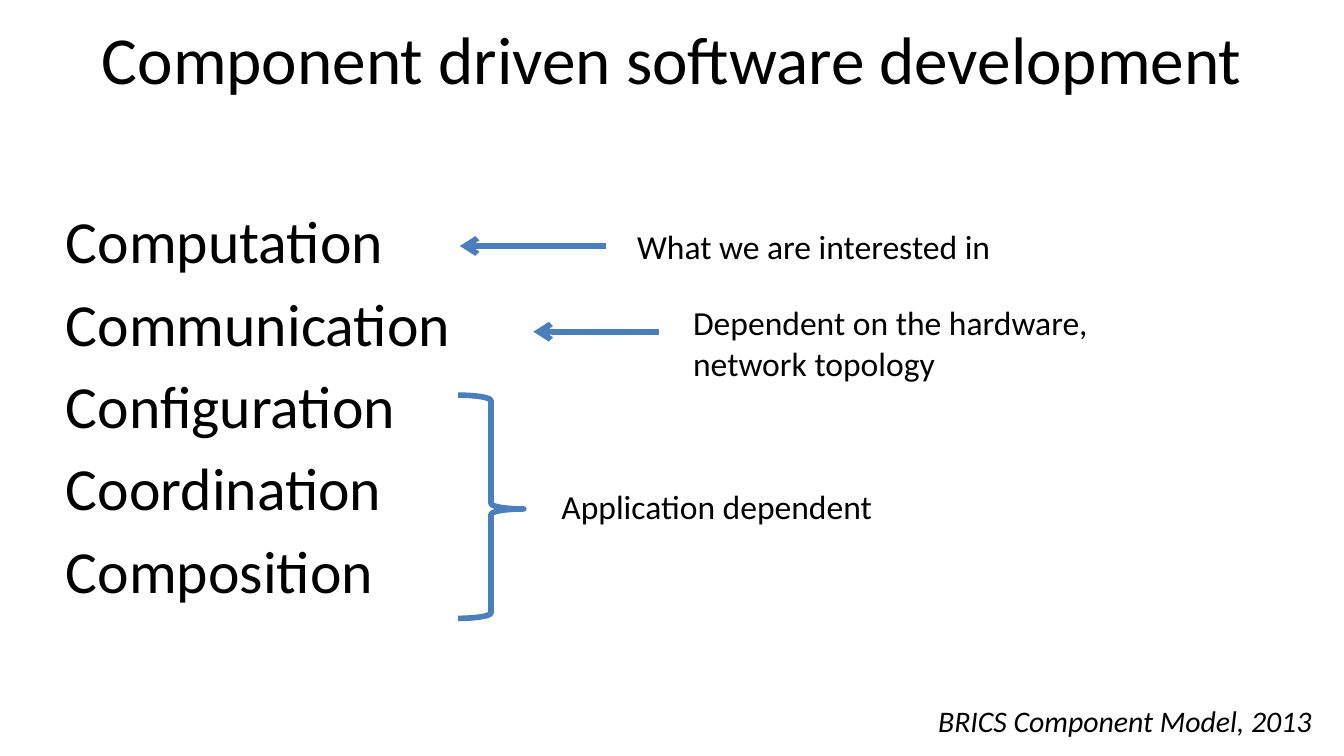
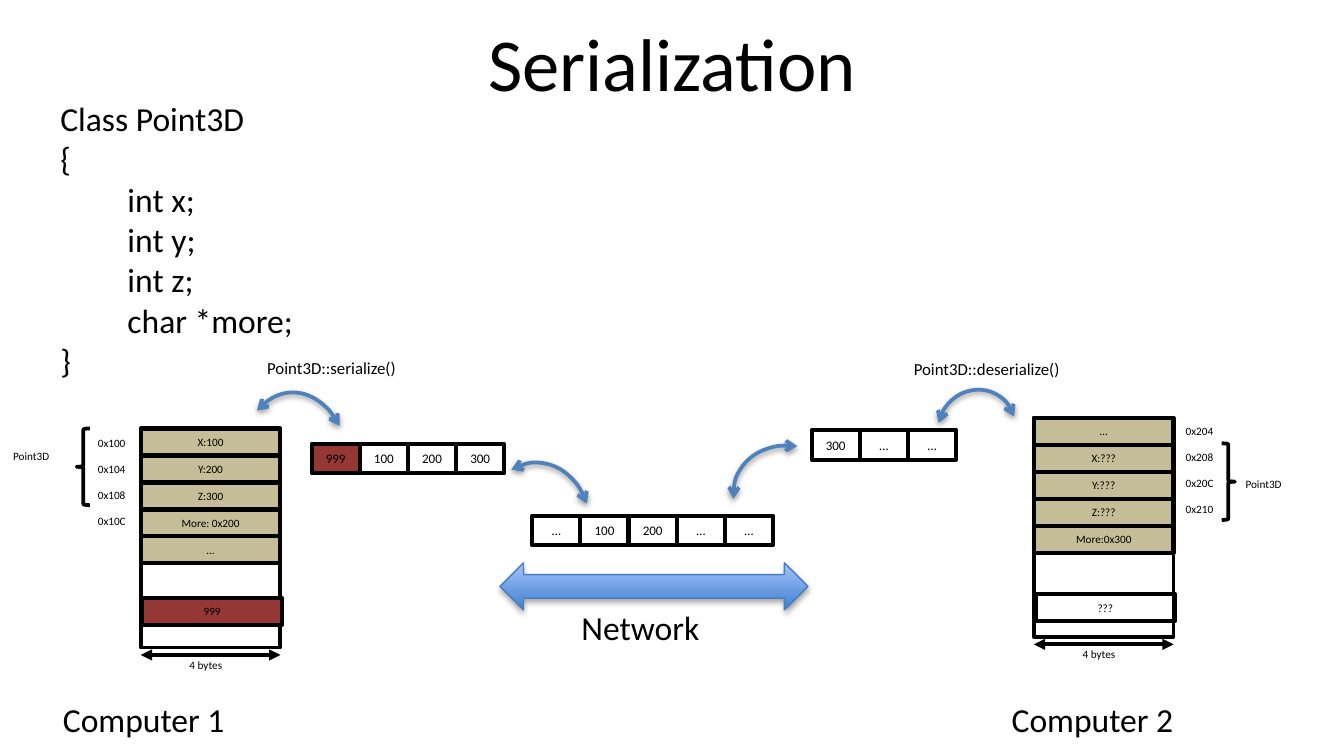
from pptx import Presentation
from pptx.dml.color import RGBColor
from pptx.enum.shapes import MSO_CONNECTOR, MSO_SHAPE
from pptx.enum.text import MSO_ANCHOR, MSO_AUTO_SIZE, PP_ALIGN
from pptx.oxml.xmlchemy import OxmlElement
from pptx.util import Cm, Pt

FONT = "Calibri"
BLACK = RGBColor(0x00, 0x00, 0x00)
WHITE = RGBColor(0xFF, 0xFF, 0xFF)
BLUE = RGBColor(0x4B, 0x7E, 0xBC)
ARC_BLUE = RGBColor(0x4F, 0x81, 0xBD)
EDGE_BLUE = RGBColor(0x3A, 0x5F, 0x8C)
GRADIENT = (RGBColor(0x3F, 0x80, 0xCE), RGBColor(0xA4, 0xC4, 0xFF))
TAN = RGBColor(0xC4, 0xBD, 0x97)
RED = RGBColor(0x95, 0x37, 0x35)

RECT = MSO_SHAPE.RECTANGLE
ARC = MSO_SHAPE.ARC
LEFT_BRACE = MSO_SHAPE.LEFT_BRACE
RIGHT_BRACE = MSO_SHAPE.RIGHT_BRACE
DOUBLE_ARROW = MSO_SHAPE.LEFT_RIGHT_ARROW
STRAIGHT = MSO_CONNECTOR.STRAIGHT
TOP, MIDDLE = MSO_ANCHOR.TOP, MSO_ANCHOR.MIDDLE
FIXED, GROW = MSO_AUTO_SIZE.NONE, MSO_AUTO_SIZE.SHAPE_TO_FIT_TEXT
CENTER = PP_ALIGN.CENTER

TITLE_AND_BODY, TITLE_ONLY = 1, 5
ROW, MEMORY_WIDTH = 0.51, 2.64
CELL_WIDTH, CELL_HEIGHT = 0.91, 0.56
ADDRESS_STEP = 0.49


def element(tag, parent, **attributes):
    el = OxmlElement(tag)
    for name, value in attributes.items():
        el.set(name, str(value))
    parent.append(el)
    return el


class Deck:
    """Shared style and the slide being filled; lengths are in centimetres."""

    def __init__(self):
        self.prs = Presentation()
        self.prs.slide_width, self.prs.slide_height = Cm(25.4), Cm(14.29)

    def new_slide(self, layout, title, size):
        self.s = self.prs.slides.add_slide(self.prs.slide_layouts[layout])
        sp = self.s.shapes.title
        self.place(sp, 0, 0.2, 25.4, 2.39)
        tf = sp.text_frame
        tf.auto_size, tf.vertical_anchor = FIXED, TOP
        p = tf.paragraphs[0]
        p.alignment = CENTER
        self.run(p, title, size)

    def place(self, sp, x, y, w, h):
        sp.left, sp.top, sp.width, sp.height = Cm(x), Cm(y), Cm(w), Cm(h)

    def run(self, p, text, size, italic=False):
        r = p.add_run()
        r.text = text
        font = r.font
        font.name, font.size, font.italic = FONT, Pt(size), italic
        font.color.rgb = BLACK

    def body(self, x, y, w, h, items, size):
        sp = self.s.placeholders[1]
        self.place(sp, x, y, w, h)
        tf = sp.text_frame
        tf.auto_size = FIXED
        for i, item in enumerate(items):
            p = tf.add_paragraph() if i else tf.paragraphs[0]
            pPr = p._p.get_or_add_pPr()
            pPr.set("marL", "0")
            pPr.set("indent", "0")
            element("a:buNone", pPr)
            p.space_before = Pt(5.7 if i else 0)
            self.run(p, item, size)

    def label(self, x, y, w, h, text, size, wrap=False, italic=False):
        sp = self.s.shapes.add_textbox(Cm(x), Cm(y), Cm(w), Cm(h))
        tf = sp.text_frame
        tf.word_wrap, tf.auto_size = wrap, GROW
        for i, line in enumerate(text.split("\n")):
            p = tf.add_paragraph() if i else tf.paragraphs[0]
            if line.startswith("\t"):
                tabs = element("a:tabLst", p._p.get_or_add_pPr())
                element("a:tab", tabs, pos=Cm(1.27), algn="l")
            self.run(p, line, size, italic)

    def shape(self, kind, x, y, w, h, line=BLACK, width=2, fill=None):
        sp = self.s.shapes.add_shape(kind, Cm(x), Cm(y), Cm(w), Cm(h))
        sp.shadow.inherit = False
        if fill is None:
            sp.fill.background()
        else:
            sp.fill.solid()
            sp.fill.fore_color.rgb = fill
        sp.line.color.rgb, sp.line.width = line, Pt(width)
        return sp

    def cell(self, x, y, w, h, text, size, fill=None):
        sp = self.shape(RECT, x, y, w, h, width=2.25, fill=fill)
        tf = sp.text_frame
        tf.word_wrap, tf.vertical_anchor = True, MIDDLE
        p = tf.paragraphs[0]
        p.alignment = CENTER
        self.run(p, text, size)

    def ends(self, sp, head=None, tail=None):
        ln = sp.line._get_or_add_ln()
        for tag, kind in (("a:headEnd", head), ("a:tailEnd", tail)):
            if kind:
                element(tag, ln, type=kind)

    def arrow(self, x1, x2, y, color, width, head=None, tail=None):
        line = self.s.shapes.add_connector(STRAIGHT, Cm(x1), Cm(y), Cm(x2), Cm(y))
        line.line.color.rgb, line.line.width = color, Pt(width)
        self.ends(line, head, tail)
        element("a:effectLst", line._element.spPr)

    def drop_shadow(self, sp, alpha, distance):
        effects = sp._element.spPr.find("{*}effectLst")
        shadow = element("a:outerShdw", effects, blurRad=Pt(3.1), dist=Pt(distance),
                         dir=90 * 60000, rotWithShape=0)
        color = element("a:srgbClr", shadow, val=BLACK)
        element("a:alpha", color, val=alpha * 1000)

    def arc(self, x, y, w, h, start, end, rotation=0):
        sp = self.shape(ARC, x, y, w, h, line=ARC_BLUE)
        sp.adjustments[0], sp.adjustments[1] = start, end
        sp.rotation = rotation
        self.ends(sp, "arrow", "arrow")
        self.drop_shadow(sp, 38, 1.6)

    def network_arrow(self, x, y, w, h):
        sp = self.shape(DOUBLE_ARROW, x, y, w, h, line=BLUE, width=0.75)
        sp.fill.gradient()
        sp.fill.gradient_angle = 90
        for stop, color, position in zip(sp.fill.gradient_stops, GRADIENT, (0, 1)):
            stop.color.rgb, stop.position = color, position
        self.drop_shadow(sp, 35, 1.8)

    def strip(self, x, y, values, fills=()):
        for i, value in enumerate(values):
            fill = fills[i] if i < len(fills) else None
            self.cell(x + i * CELL_WIDTH, y, CELL_WIDTH, CELL_HEIGHT, value, 7, fill)

    def memory(self, x, y, rows, extra, extra_y, extra_fill=None):
        self.shape(RECT, x, y, MEMORY_WIDTH, 4.14, fill=WHITE)
        self.shape(RECT, x, y, MEMORY_WIDTH, ROW * len(rows), line=EDGE_BLUE, fill=TAN)
        for i, text in enumerate(rows):
            self.cell(x, y + i * ROW, MEMORY_WIDTH, ROW, text, 6)
        self.cell(x + 0.03, extra_y, MEMORY_WIDTH, ROW, extra, 6, extra_fill)
        self.arrow(x, x + MEMORY_WIDTH, y + 4.28, BLACK, 2, "triangle", "triangle")
        self.label(x + 0.67, y + 4.22, 1.14, ROW, "4 bytes", 6)

    def addresses(self, x, y, values):
        for i, value in enumerate(values):
            self.label(x, y + i * ADDRESS_STEP, 1.04, ROW, value, 6)


def components_slide(deck):
    deck.new_slide(TITLE_AND_BODY, "Component driven software development", 36)
    deck.body(0.99, 3.73, 22.86, 9.58, ["Computation", "Communication", "Configuration",
                                        "Coordination", "Composition"], 32)

    # Remarks beside the list
    deck.arrow(11.46, 8.69, 4.65, BLUE, 3, tail="arrow")
    deck.label(11.79, 4.14, 7.42, 1.02, "What we are interested in", 18)
    deck.arrow(12.45, 10.08, 6.27, BLUE, 3, tail="arrow")
    deck.label(12.85, 5.59, 10.08, 1.8, "Dependent on the hardware, network topology", 18,
               wrap=True)
    brace = deck.shape(RIGHT_BRACE, 8.66, 7.47, 1.24, 4.22, line=BLUE, width=3)
    brace.adjustments[1] = 0.51
    deck.label(10.36, 9.07, 6.48, 1.02, "Application dependent", 18)

    # Reference
    deck.label(17.48, 13.16, 8.64, 0.94, "BRICS Component Model, 2013", 16, italic=True)


def serialization_slide(deck):
    deck.new_slide(TITLE_ONLY, "Serialization", 40)
    deck.label(0.89, 1.73, 4.95, 5.64, "Class Point3D\n{\n\tint x;\n\tint y;\n\tint z;\n"
               "\tchar *more;\n}", 18)

    # Computer 1
    deck.memory(2.66, 8.1, ["X:100", "Y:200", "Z:300", "More: 0x200", "…"],
                "999", 11.3, RED)
    deck.addresses(1.6, 8.13, ["0x100", "0x104", "0x108", "0x10C"])
    deck.shape(LEFT_BRACE, 1.45, 8.1, 0.25, 1.45)
    deck.label(0, 8.36, 1.22, ROW, "Point3D", 6)
    deck.label(4.8, 6.63, 2.97, 0.64, "Point3D::serialize()", 9)
    deck.label(0.94, 13.08, 3.61, 1.02, "Computer 1", 18)

    # Computer 2
    deck.memory(19.54, 7.9, ["…", "X:???", "Y:???", "Z:???", "More:0x300"], "???", 11.23)
    deck.addresses(22.16, 7.9, ["0x204", "0x208", "0x20C", "0x210"])
    deck.shape(RIGHT_BRACE, 23.09, 8.38, 0.25, 1.45)
    deck.label(23.29, 8.89, 1.24, ROW, "Point3D", 6, wrap=True)
    deck.label(17.02, 6.65, 3.3, 0.64, "Point3D::deserialize()", 9)
    deck.label(18.87, 13.08, 3.61, 1.02, "Computer 2", 18)

    # Data on its way through the network
    deck.strip(5.89, 8.39, ["999", "100", "200", "300"], [RED])
    deck.strip(10.06, 9.75, ["…", "100", "200", "…", "…"])
    deck.strip(15.34, 8.13, ["300", "…", "…"])
    deck.network_arrow(9.45, 10.64, 5.82, 0.89)
    deck.label(10.74, 11.35, 2.77, 1.02, "Network", 18)

    # Curved arrows between the steps
    deck.arc(4.42, 7.42, 2.24, 3.3, 145.47, 186.46)
    deck.arc(8.94, 8.74, 2.24, 2.92, 147.25, 191.21, 7.9)
    deck.arc(14.1, 8.2, 2.24, 2.92, 147.25, 191.21, 304.3)
    deck.arc(17.7, 7.39, 1.52, 1.45, 147.25, 22.05, 304.3)


def main():
    deck = Deck()
    components_slide(deck)
    serialization_slide(deck)
    deck.prs.save("out.pptx")


if __name__ == "__main__":
    main()
